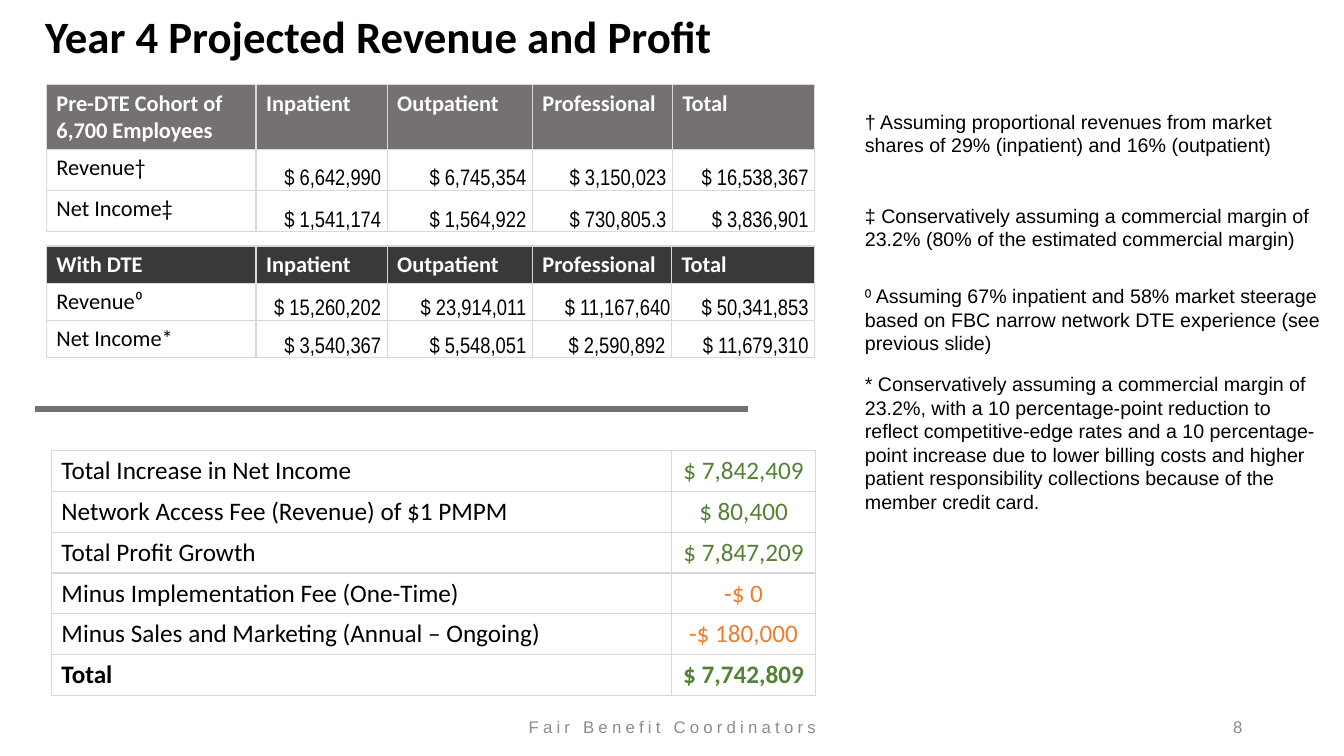
from lxml import etree
from pptx import Presentation
from pptx.dml.color import RGBColor
from pptx.enum.shapes import MSO_CONNECTOR
from pptx.enum.text import MSO_ANCHOR, PP_ALIGN
from pptx.oxml.ns import qn
from pptx.util import Inches, Pt

BLACK, WHITE, GRAY, DARK = "000000", "FFFFFF", "767171", "3B3838"
GREEN, ORANGE, BORDER, FOOTER = "548235", "ED7D31", "D9D9D9", "8C8C8C"

COHORT_COLUMNS = [2.08, 1.3, 1.44, 1.39, 1.41]
COHORT_ROWS = [
    ["Pre-DTE Cohort of 6,700 Employees", "Inpatient", "Outpatient", "Professional", "Total"],
    ["Revenue†", "$ 6,642,990", "$ 6,745,354", "$ 3,150,023", "$ 16,538,367"],
    ["Net Income‡", "$ 1,541,174", "$ 1,564,922", "$ 730,805.3", "$ 3,836,901"],
]
DTE_COLUMNS = [2.08, 1.3, 1.44, 1.38, 1.42]
DTE_ROWS = [
    ["With DTE", "Inpatient", "Outpatient", "Professional", "Total"],
    ["Revenue⁰", "$ 15,260,202", "$ 23,914,011", "$ 11,167,640", "$ 50,341,853"],
    ["Net Income*", "$ 3,540,367", "$ 5,548,051", "$ 2,590,892", "$ 11,679,310"],
]
SUMMARY_ROWS = [
    ["Total Increase in Net Income", "$ 7,842,409"],
    ["Network Access Fee (Revenue) of $1 PMPM", "$ 80,400"],
    ["Total Profit Growth", "$ 7,847,209"],
    ["Minus Implementation Fee (One-Time)", "-$ 0"],
    ["Minus Sales and Marketing (Annual – Ongoing)", "-$ 180,000"],
    ["Total", "$ 7,742,809"],
]
NOTES = [
    (0, 0.81, "† Assuming proportional revenues from market shares of 29% (inpatient) "
              "and 16% (outpatient)"),
    (0.93, 0.57, "‡ Conservatively assuming a commercial margin of 23.2% "
                 "(80% of the estimated commercial margin)"),
    (1.73, 0.81, "⁰ Assuming 67% inpatient and 58% market steerage based on FBC "
                 "narrow network DTE experience (see previous slide)"),
    (2.6, 1.51, "* Conservatively assuming a commercial margin of 23.2%, with a 10 "
                "percentage-point reduction to reflect competitive-edge rates and a 10 "
                "percentage-point increase due to lower billing costs and higher patient "
                "responsibility collections because of the member credit card."),
]


def color(value):
    return RGBColor.from_string(value)


def write_text(frame, text, size=16, font="Calibri", fill=BLACK, bold=False,
               align=PP_ALIGN.LEFT, spacing=0):
    paragraph = frame.paragraphs[0]
    paragraph.alignment = align
    run = paragraph.add_run()
    run.text = text
    run.font.size = Pt(size)
    run.font.name = font
    run.font.bold = bold
    run.font.color.rgb = color(fill)
    if spacing:
        run.font._element.set("spc", str(spacing * 100))


def add_text(slide, box, text, anchor=MSO_ANCHOR.TOP, wrap=True, **text_format):
    frame = slide.shapes.add_textbox(*map(Inches, box)).text_frame
    frame.word_wrap = wrap
    frame.vertical_anchor = anchor
    write_text(frame, text, **text_format)


def add_borders(cell):
    properties = cell._tc.get_or_add_tcPr()
    for side in ("a:lnL", "a:lnR", "a:lnT", "a:lnB"):
        line = etree.SubElement(properties, qn(side), w=str(Pt(1)))
        fill = etree.SubElement(line, qn("a:solidFill"))
        etree.SubElement(fill, qn("a:srgbClr"), val=BORDER)


def add_plain_table(slide, left, top, columns, heights):
    """Add a table with thin borders, no fill and no banding."""
    table = slide.shapes.add_table(
        len(heights), len(columns), Inches(left), Inches(top),
        Inches(sum(columns)), Inches(sum(heights))).table
    table.first_row = table.horz_banding = False
    for column, width in zip(table.columns, columns):
        column.width = Inches(width)
    for row, height in zip(table.rows, heights):
        row.height = Inches(height)
    for cell in table.iter_cells():
        add_borders(cell)
        cell.fill.background()
    return table


def add_income_table(slide, left, top, columns, heights, rows, header_fill):
    table = add_plain_table(slide, left, top, columns, heights)
    for r, row in enumerate(rows):
        for c, text in enumerate(row):
            cell = table.cell(r, c)
            if r == 0:
                cell.fill.solid()
                cell.fill.fore_color.rgb = color(header_fill)
                write_text(cell.text_frame, text, fill=WHITE, bold=True)
            elif c == 0:
                write_text(cell.text_frame, text)
            else:
                cell.vertical_anchor = MSO_ANCHOR.BOTTOM
                cell.margin_left = cell.margin_top = Inches(0.01)
                cell.margin_right = Inches(0.06)
                cell.margin_bottom = 0
                write_text(cell.text_frame, text, font="Arial Narrow", align=PP_ALIGN.RIGHT)
    return table


def add_summary_table(slide, left, top):
    table = add_plain_table(slide, left, top, [6.15, 1.43], [0.405] * len(SUMMARY_ROWS))
    for r, (label, amount) in enumerate(SUMMARY_ROWS):
        bold = label == "Total"
        write_text(table.cell(r, 0).text_frame, label, size=18, bold=bold)
        write_text(table.cell(r, 1).text_frame, amount, size=18, bold=bold,
                   fill=ORANGE if amount.startswith("-") else GREEN, align=PP_ALIGN.CENTER)


def add_notes_column(slide, left, top, width):
    for offset, height, text in NOTES:
        add_text(slide, (left, top + offset, width, height), text, size=14, font="Arial")


def add_divider(slide, left, top, width):
    line = slide.shapes.add_connector(
        MSO_CONNECTOR.STRAIGHT, Inches(left), Inches(top), Inches(left + width), Inches(top))
    line.line.color.rgb = color(GRAY)
    line.line.width = Pt(4.5)
    etree.SubElement(line._element.spPr, qn("a:effectLst"))


def add_footer(slide, top, height):
    footer_format = dict(size=12, font="Arial", fill=FOOTER, anchor=MSO_ANCHOR.MIDDLE)
    add_text(slide, (4.42, top, 4.5, height), "Fair Benefit Coordinators",
             align=PP_ALIGN.CENTER, spacing=3, **footer_format)
    add_text(slide, (9.42, top, 3, height), "8", align=PP_ALIGN.RIGHT, **footer_format)


def main():
    presentation = Presentation()
    presentation.slide_width = Inches(13.33)
    presentation.slide_height = Inches(7.5)
    slide = presentation.slides.add_slide(presentation.slide_layouts[6])
    add_text(slide, (0.35, 0.04, 6.88, 0.64), "Year 4 Projected Revenue and Profit",
             size=32, bold=True, wrap=False)
    add_income_table(slide, 0.46, 0.84, COHORT_COLUMNS, [0.64, 0.41, 0.41], COHORT_ROWS, GRAY)
    dte_table = add_income_table(slide, 0.46, 2.44, DTE_COLUMNS, [0.37] * 3, DTE_ROWS, DARK)
    # The professional revenue sits flush with its right border.
    dte_table.cell(1, 3).margin_right = Inches(0.01)
    add_divider(slide, 0.35, 4.06, 7.07)
    add_summary_table(slide, 0.51, 4.47)
    add_notes_column(slide, 8.48, 1.04, 4.72)
    add_footer(slide, 7.08, 0.27)
    presentation.save("out.pptx")


if __name__ == "__main__":
    main()
